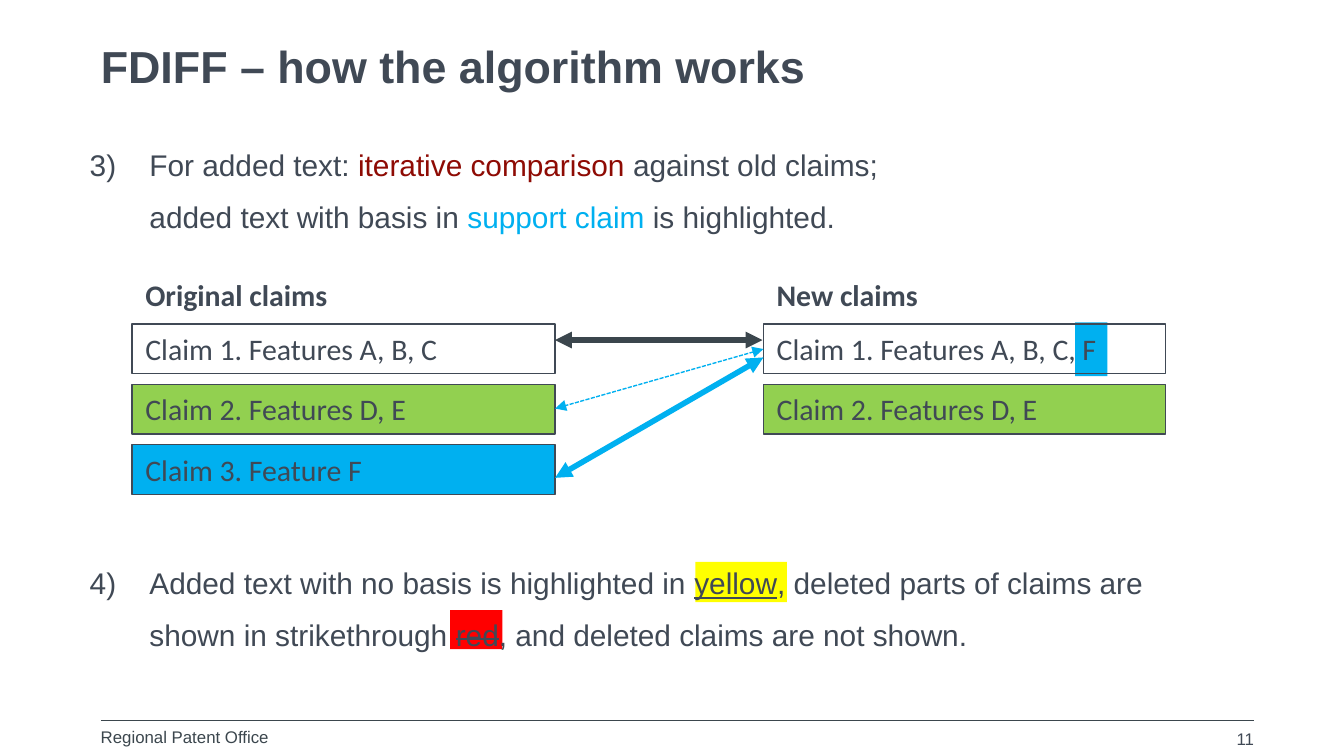
"""Build the slide that explains how the FDIFF algorithm compares claims."""
from dataclasses import dataclass
from typing import Optional

from lxml.etree import SubElement
from pptx import Presentation
from pptx.dml.color import RGBColor
from pptx.enum.dml import MSO_LINE
from pptx.enum.shapes import MSO_CONNECTOR, MSO_SHAPE
from pptx.enum.text import MSO_ANCHOR, PP_ALIGN
from pptx.oxml.ns import qn
from pptx.util import Pt

SLATE = RGBColor(0x40, 0x49, 0x55)
CHARCOAL = RGBColor(0x3B, 0x46, 0x4D)
MAROON = RGBColor(0x8E, 0x0B, 0x04)
BLUE = RGBColor(0x00, 0xB0, 0xF0)
GREEN = RGBColor(0x92, 0xD0, 0x50)
YELLOW = RGBColor(0xFF, 0xFF, 0x00)
RED = RGBColor(0xFF, 0x00, 0x00)
WHITE = RGBColor(0xFF, 0xFF, 0xFF)

LINE_PITCH = 28
CLAIM_TOP, CLAIM_HEIGHT, CLAIM_PITCH = 173.5, 26.6, 32.4
HEADING_TOP = 144.7


@dataclass(frozen=True)
class Span:
    text: str
    color: RGBColor = SLATE
    size: float = 16
    font: str = "Arial"
    bold: bool = False
    underline: bool = False
    strike: bool = False


@dataclass(frozen=True)
class Box:
    left: float
    top: float
    width: float
    height: float


@dataclass(frozen=True)
class Claim:
    text: str
    fill: Optional[RGBColor] = None


@dataclass(frozen=True)
class Column:
    heading: str
    left: float
    width: float
    heading_width: float
    claims: tuple[Claim, ...]


@dataclass(frozen=True)
class Rule:
    start: tuple[float, float]
    end: tuple[float, float]
    color: RGBColor
    weight: float
    dashed: bool = False
    arrows: bool = True


HIGHLIGHTS = (
    (Box(241.2, 326.9, 28, 20.9), RED),
    (Box(372.5, 301, 49, 21.6), YELLOW),
    (Box(576, 172.8, 17.3, 28.8), BLUE),
)

COLUMNS = (
    Column("Original claims", 70.8, 226.6, 113, (
        Claim("Claim 1. Features A, B, C", WHITE),
        Claim("Claim 2. Features D, E", GREEN),
        Claim("Claim 3. Feature F", BLUE),
    )),
    Column("New claims", 409, 215.5, 90.7, (
        Claim("Claim 1. Features A, B, C, F"),
        Claim("Claim 2. Features D, E", GREEN),
    )),
)

RULES = (
    Rule((54, 385.9), (671.8, 385.9), CHARCOAL, 0.75, arrows=False),
    Rule((297.4, 256), (409, 191.5), BLUE, 3),
    Rule((409, 187), (297.4, 218.9), BLUE, 0.75, dashed=True),
    Rule((408.5, 182.2), (297.4, 182.2), CHARCOAL, 3),
)

STEPS = (
    (
        (Span("For added text: "), Span("iterative comparison ", MAROON),
         Span("against old claims;")),
        (Span("added text with basis in "), Span("support claim", BLUE),
         Span(" is highlighted.")),
    ),
    (
        (Span("Added text with no basis is highlighted in "),
         Span("yellow", underline=True),
         Span(", deleted parts of claims are shown in strikethrough "),
         Span("red", strike=True),
         Span(", and deleted claims are not shown.")),
    ),
)


def add_span(p, span: Span) -> None:
    """Append one formatted run to a paragraph."""
    r = p.add_run()
    r.text = span.text
    r.font.name, r.font.size = span.font, Pt(span.size)
    r.font.bold = span.bold
    r.font.color.rgb = span.color
    if span.underline:
        r.font.underline = True
    if span.strike:
        r.font._element.set("strike", "sngStrike")


def add_rect(s, box: Box, fill: Optional[RGBColor], outline: Optional[RGBColor] = None):
    """Draw a plain rectangle and return it."""
    sp = s.shapes.add_shape(MSO_SHAPE.RECTANGLE, Pt(box.left), Pt(box.top),
                            Pt(box.width), Pt(box.height))
    sp.shadow.inherit = False
    if fill is None:
        sp.fill.background()
    else:
        sp.fill.solid()
        sp.fill.fore_color.rgb = fill
    if outline is None:
        sp.line.fill.background()
    else:
        sp.line.color.rgb = outline
        sp.line.width = Pt(0.75)
    return sp


def add_text(s, box: Box, inset: bool = False, wrap: bool = True):
    """Add an empty text box and return its text frame."""
    tf = s.shapes.add_textbox(Pt(box.left), Pt(box.top),
                              Pt(box.width), Pt(box.height)).text_frame
    tf.word_wrap = wrap
    if not inset:
        tf.margin_left = tf.margin_right = tf.margin_top = tf.margin_bottom = 0
    return tf


def add_rule(s, rule: Rule) -> None:
    """Draw a straight line, with arrowheads at both ends if asked."""
    cx = s.shapes.add_connector(MSO_CONNECTOR.STRAIGHT,
                                *map(Pt, rule.start), *map(Pt, rule.end))
    cx.line.color.rgb = rule.color
    cx.line.width = Pt(rule.weight)
    if rule.dashed:
        cx.line.dash_style = MSO_LINE.SQUARE_DOT
    if rule.arrows:
        ln = cx.line._get_or_add_ln()
        for end in ("a:headEnd", "a:tailEnd"):
            SubElement(ln, qn(end), type="triangle")
    SubElement(cx._element.spPr, qn("a:effectLst"))


def add_column(s, column: Column) -> None:
    """Draw a heading with its stack of claims."""
    heading = Box(column.left, HEADING_TOP, column.heading_width, CLAIM_HEIGHT)
    tf = add_text(s, heading, inset=True, wrap=False)
    add_span(tf.paragraphs[0], Span(column.heading, font="Calibri", bold=True))
    for i, claim in enumerate(column.claims):
        box = Box(column.left, CLAIM_TOP + i * CLAIM_PITCH, column.width, CLAIM_HEIGHT)
        tf = add_rect(s, box, claim.fill, SLATE).text_frame
        tf.vertical_anchor = MSO_ANCHOR.TOP
        p = tf.paragraphs[0]
        p.alignment = PP_ALIGN.LEFT
        add_span(p, Span(claim.text, font="Calibri"))


def add_steps(s) -> None:
    """Write the numbered steps, leaving six lines free for the diagram."""
    tf = add_text(s, Box(41, 66.2, 617.8, 329), inset=True)
    for i, lines in enumerate(STEPS):
        p = tf.add_paragraph() if i else tf.paragraphs[0]
        p.line_spacing = Pt(LINE_PITCH)
        p.space_before = Pt(6 * LINE_PITCH * i)
        pPr = p._p.get_or_add_pPr()
        pPr.set("marL", str(Pt(32)))
        pPr.set("indent", str(-Pt(32)))
        SubElement(pPr, qn("a:buFont"), typeface="Arial")
        SubElement(pPr, qn("a:buAutoNum"), type="arabicParenR", startAt="3")
        for j, spans in enumerate(lines):
            if j:
                p.add_line_break()
            for span in spans:
                add_span(p, span)


def main() -> None:
    """Assemble and save the slide."""
    prs = Presentation()
    prs.slide_width, prs.slide_height = Pt(720), Pt(405)
    s = prs.slides.add_slide(prs.slide_layouts[6])
    for box, color in HIGHLIGHTS:
        add_rect(s, box, color)
    p = add_text(s, Box(54, 21.6, 617.8, 31.7)).paragraphs[0]
    p.line_spacing = Pt(LINE_PITCH)
    add_span(p, Span("FDIFF – how the algorithm works", size=24, bold=True))
    add_steps(s)
    for column in COLUMNS:
        add_column(s, column)
    for rule in RULES:
        add_rule(s, rule)
    p = add_text(s, Box(54, 389.5, 122.4, 13.7)).paragraphs[0]
    add_span(p, Span("Regional Patent Office", CHARCOAL, 9))
    p = add_text(s, Box(504, 390.2, 167.8, 13)).paragraphs[0]
    p.alignment = PP_ALIGN.RIGHT
    add_span(p, Span("11", size=9))
    prs.save("out.pptx")


if __name__ == "__main__":
    main()
